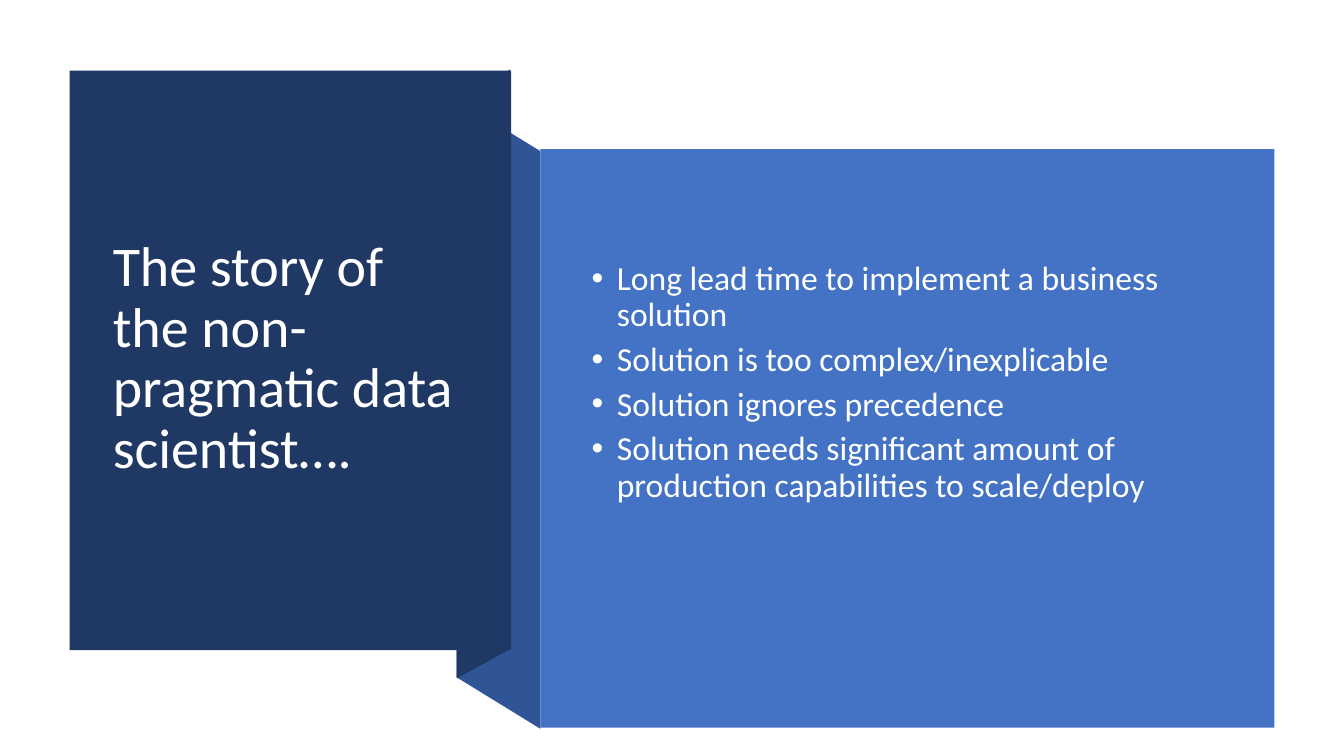
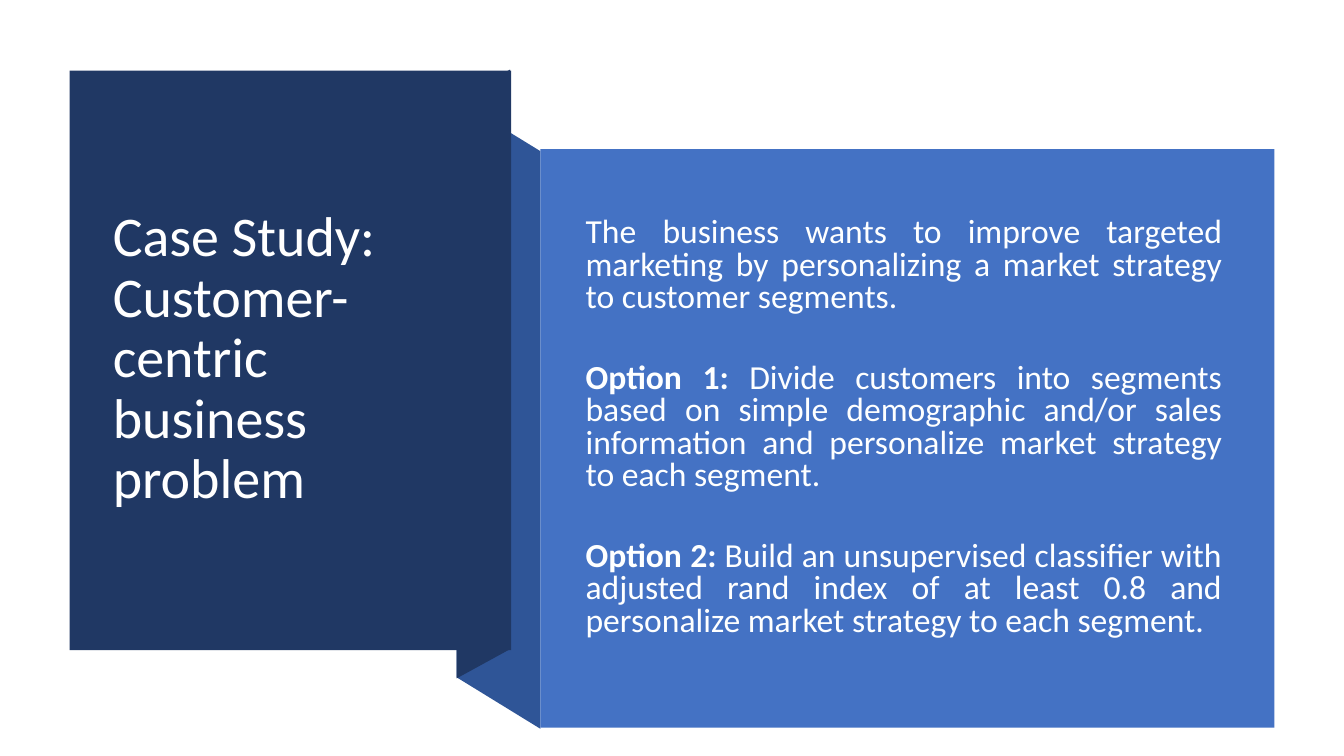
from lxml.etree import SubElement
from pptx import Presentation
from pptx.dml.color import RGBColor
from pptx.enum.shapes import MSO_SHAPE
from pptx.enum.text import MSO_ANCHOR, PP_ALIGN
from pptx.oxml.ns import qn
from pptx.util import Inches, Pt

NAVY = RGBColor(0x20, 0x38, 0x64)
FOLD_BLUE = RGBColor(0x2F, 0x55, 0x97)
PANEL_BLUE = RGBColor(0x44, 0x72, 0xC4)
TITLE_WHITE = RGBColor(0xFF, 0xFF, 0xFF)
BODY_WHITE = RGBColor(0xFE, 0xFF, 0xFF)
FONT = "Calibri"

RIBBON = [(5.36, 7.23), (4.53, 6.72), (4.53, 0.99), (5.36, 1.5)]
RIBBON_SHADE = [(5.06, 6.44), (4.53, 6.73), (4.53, 0.98), (5.06, 0.69)]
TITLE_CARD = (0.69, 0.7, 4.38, 5.75)
TITLE_AREA = (1.02, 1.07, 3.71, 4.99)
BODY_PANEL = (5.36, 1.48, 7.28, 5.74)
BODY_AREA = (5.71, 1.88, 6.51, 4.74)
LIST_AREA = (5.71, 1.88, 6.51, 3.84)

DRAWBACKS = [
    "Long lead time to implement a business solution",
    "Solution is too complex/inexplicable",
    "Solution ignores precedence",
    "Solution needs significant amount of production capabilities to scale/deploy",
]
CASE_STUDY = [
    ("", "The business wants to improve targeted marketing by personalizing "
         "a market strategy to customer segments."),
    ("Option 1:", " Divide customers into segments based on simple demographic "
                  "and/or sales information and personalize market strategy to each segment."),
    ("Option 2:", " Build an unsupervised classifier with adjusted rand index of "
                  "at least 0.8 and personalize market strategy to each segment."),
]


def write_text(para, text, lead="", size=24, color=BODY_WHITE, align=PP_ALIGN.LEFT,
               spacing=0.9, before=0, after=6, bullet=False):
    """Fill a paragraph with an optional bold lead and its text."""
    if bullet:
        properties = para._p.get_or_add_pPr()
        properties.set("marL", str(Inches(0.31)))
        properties.set("indent", str(Inches(-0.25)))
        SubElement(properties, qn("a:buFont"), typeface="Arial")
        SubElement(properties, qn("a:buChar"), char="•")
    para.alignment = align
    para.line_spacing = spacing
    para.space_before = Pt(before)
    para.space_after = Pt(after)
    for words, bold in ((lead, True), (text, False)):
        if words:
            span = para.add_run()
            span.text = words
            span.font.name = FONT
            span.font.size = Pt(size)
            span.font.bold = bold
            span.font.color.rgb = color


class FoldedDeck:
    """A deck whose pages fold a title card over a body panel."""

    def __init__(self):
        """Start a widescreen deck."""
        self.deck = Presentation()
        self.deck.slide_width = Inches(13.33)
        self.deck.slide_height = Inches(7.5)
        self.page = None

    def paint(self, shape, color):
        """Give a shape a flat fill without outline or shadow."""
        shape.shadow.inherit = False
        shape.fill.solid()
        shape.fill.fore_color.rgb = color
        shape.line.fill.background()

    def polygon(self, points, color):
        """Draw a closed outline through the points."""
        corners = [(Inches(x), Inches(y)) for x, y in points]
        builder = self.page.shapes.build_freeform(*corners[0])
        builder.add_line_segments(corners[1:], close=True)
        self.paint(builder.convert_to_shape(), color)

    def panel(self, area, color):
        """Draw a filled rectangle."""
        self.paint(self.page.shapes.add_shape(MSO_SHAPE.RECTANGLE, *map(Inches, area)), color)

    def text_box(self, area, entries):
        """Add a vertically centred box with one paragraph per entry."""
        frame = self.page.shapes.add_textbox(*map(Inches, area)).text_frame
        frame.word_wrap = True
        frame.vertical_anchor = MSO_ANCHOR.MIDDLE
        for index, entry in enumerate(entries):
            para = frame.add_paragraph() if index else frame.paragraphs[0]
            write_text(para, **entry)

    def add_page(self, title, area, entries):
        """Add a page with the folded ribbon, its title and its body."""
        self.page = self.deck.slides.add_slide(self.deck.slide_layouts[6])
        self.polygon(RIBBON, FOLD_BLUE)
        self.polygon(RIBBON_SHADE, NAVY)
        self.panel(TITLE_CARD, NAVY)
        self.text_box(TITLE_AREA, [dict(text=title, size=40, color=TITLE_WHITE, after=0)])
        self.panel(BODY_PANEL, PANEL_BLUE)
        self.text_box(area, entries)


def main():
    """Build and save the deck."""
    folded = FoldedDeck()
    folded.add_page("The story of the non-pragmatic data scientist….", LIST_AREA,
                    [dict(text=text, bullet=True) for text in DRAWBACKS])
    folded.add_page("Case Study: Customer-centric business problem", BODY_AREA,
                    [dict(text=text, lead=lead, align=PP_ALIGN.JUSTIFY, spacing=0.8,
                          before=29 if lead else 0) for lead, text in CASE_STUDY])
    folded.deck.save("out.pptx")


if __name__ == "__main__":
    main()
